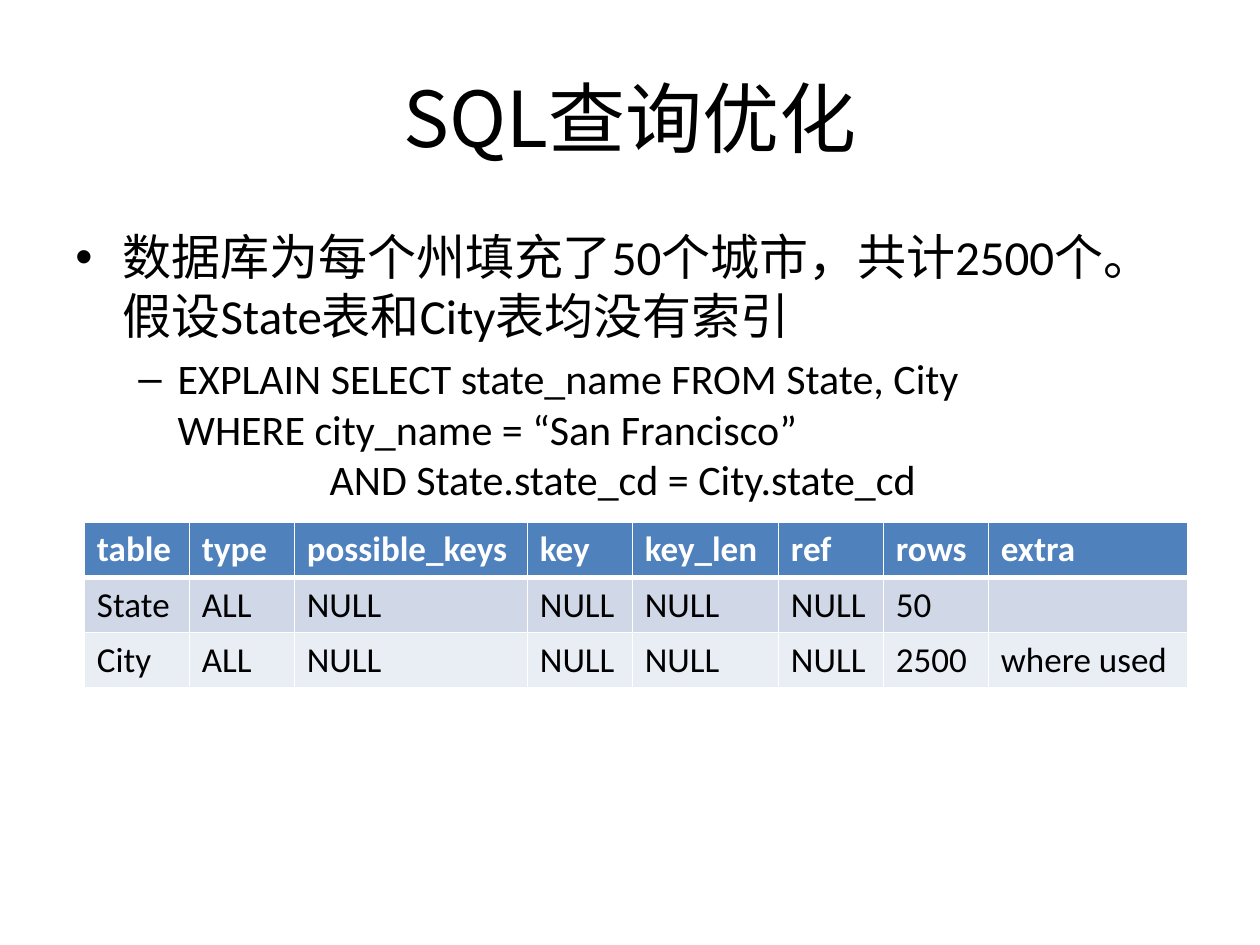
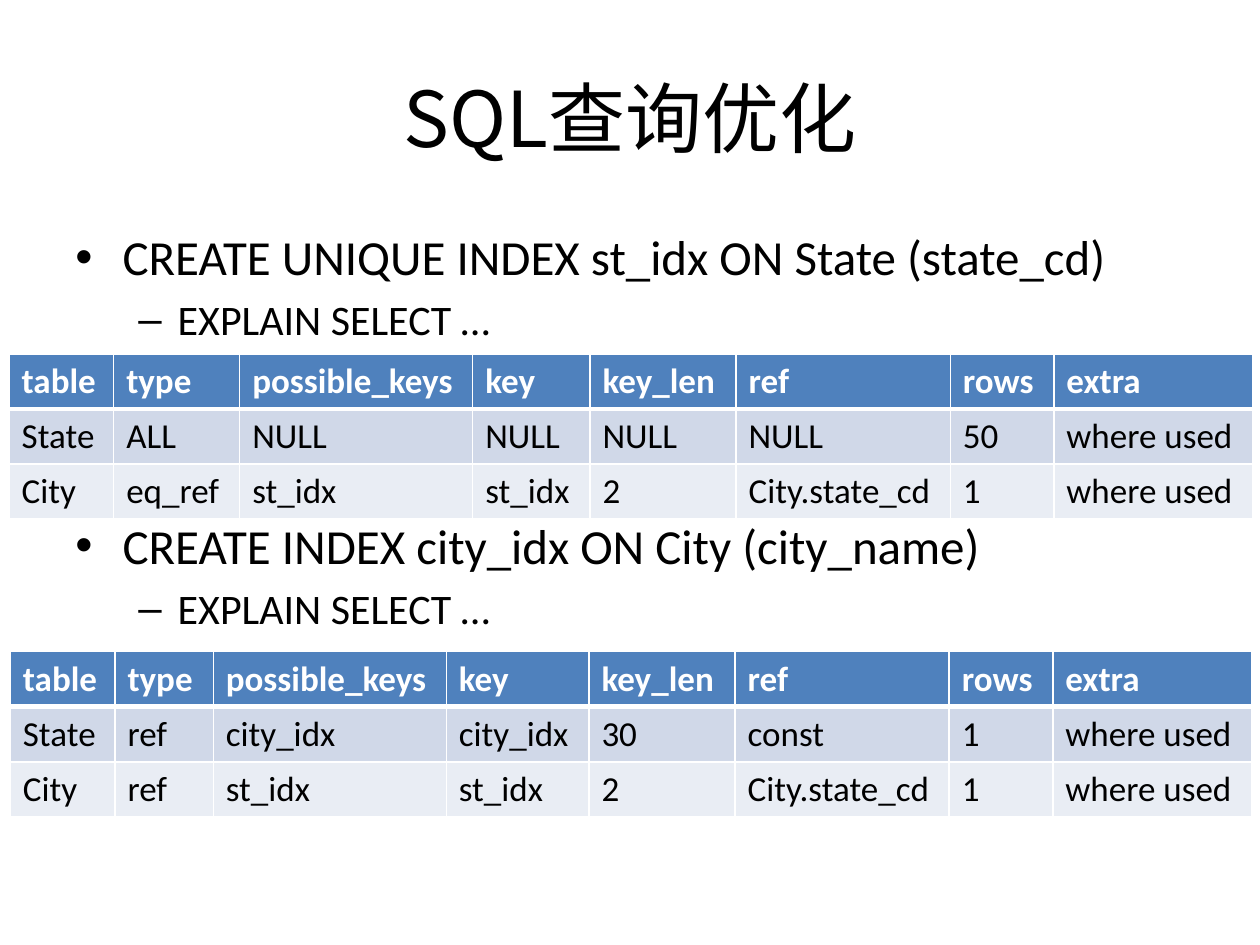
"""Build two slides on SQL query optimisation with EXPLAIN result tables."""

from dataclasses import dataclass
from typing import Any

import lxml.etree
import pptx
import pptx.dml.color
import pptx.enum.text
import pptx.oxml.ns
import pptx.presentation
import pptx.slide
import pptx.table
import pptx.text.text
import pptx.util

Pt = pptx.util.Pt
qn = pptx.oxml.ns.qn

BLACK = pptx.dml.color.RGBColor(0x00, 0x00, 0x00)
WHITE = pptx.dml.color.RGBColor(0xFF, 0xFF, 0xFF)
HEADER_BLUE = pptx.dml.color.RGBColor(0x4F, 0x81, 0xBD)
ROW_FILLS = (
    pptx.dml.color.RGBColor(0xD0, 0xD8, 0xE8),
    pptx.dml.color.RGBColor(0xE9, 0xED, 0xF4),
)

LATIN_FONT = "Calibri"
CHINESE_FONT = "Noto Sans CJK SC"
TITLE = "SQL查询优化"
TITLE_BOX = (36, 21.6, 648, 90)
BODY_BOX = (36, 126, 648, 356.4)
ROW_HEIGHT = 31.5
HEADINGS = ("table", "type", "possible_keys", "key", "key_len", "ref", "rows", "extra")

TITLE_FORMAT = {"size": Pt(44), "name": CHINESE_FONT}
HEADER_FORMAT = {"size": Pt(20), "name": LATIN_FONT, "bold": True}
CELL_FORMAT = {"size": Pt(20), "name": LATIN_FONT, "bold": False}


@dataclass(frozen=True)
class BulletStyle:
    """Look of one outline level, in points."""

    character: str
    margin: float
    hanging: float
    size: float


@dataclass(frozen=True)
class Bullet:
    """One outline paragraph and the space above it."""

    text: str
    level: int = 0
    space_before: float = 0


@dataclass(frozen=True)
class ExplainTable:
    """Position, column widths and body rows of one EXPLAIN result."""

    left: float
    top: float
    widths: tuple[float, ...]
    rows: tuple[tuple[str, ...], ...]


@dataclass(frozen=True)
class OptimisationSlide:
    """Outline and result tables of one slide."""

    bullets: tuple[Bullet, ...]
    tables: tuple[ExplainTable, ...]


BULLET_STYLES = (BulletStyle("•", 27, 27, 28), BulletStyle("–", 58.5, 22.5, 24))

SLIDES = (
    OptimisationSlide(
        bullets=(
            Bullet("数据库为每个州填充了50个城市，共计2500个。假设State表和City表均没有索引"),
            Bullet(
                "EXPLAIN SELECT state_name FROM State, City\v"
                "WHERE city_name = “San Francisco”\v"
                "                AND State.state_cd = City.state_cd",
                level=1,
                space_before=4.8,
            ),
        ),
        tables=(
            ExplainTable(
                48.2, 298.4, (60, 60, 133.2, 60, 83.5, 60, 60, 113.8),
                (
                    ("State", "ALL", "NULL", "NULL", "NULL", "NULL", "50", ""),
                    ("City", "ALL", "NULL", "NULL", "NULL", "NULL", "2500", "where used"),
                ),
            ),
        ),
    ),
    OptimisationSlide(
        bullets=(
            Bullet("CREATE UNIQUE INDEX st_idx ON State (state_cd)"),
            Bullet("EXPLAIN SELECT …", level=1, space_before=4.8),
            Bullet("CREATE INDEX city_idx ON City (city_name)", space_before=97.6),
            Bullet("EXPLAIN SELECT …", level=1, space_before=4.8),
        ),
        tables=(
            ExplainTable(
                5.2, 202.2, (59.8, 72, 133.2, 67, 83.5, 122.4, 59.2, 113.8),
                (
                    ("State", "ALL", "NULL", "NULL", "NULL", "NULL", "50", "where used"),
                    ("City", "eq_ref", "st_idx", "st_idx", "2", "City.state_cd", "1", "where used"),
                ),
            ),
            ExplainTable(
                5.9, 372.4, (59.8, 56.2, 133.2, 81.5, 83.5, 122.4, 59.2, 113.8),
                (
                    ("State", "ref", "city_idx", "city_idx", "30", "const", "1", "where used"),
                    ("City", "ref", "st_idx", "st_idx", "2", "City.state_cd", "1", "where used"),
                ),
            ),
        ),
    ),
)


def format_runs(
    paragraph: pptx.text.text._Paragraph,
    values: dict[str, Any],
    color: pptx.dml.color.RGBColor = BLACK,
) -> None:
    """Apply font values, colour and the Chinese font to every run."""
    for run in paragraph.runs:
        for name, value in values.items():
            setattr(run.font, name, value)
        run.font.color.rgb = color
        east_asian = lxml.etree.Element(qn("a:ea"), typeface=CHINESE_FONT)
        run.font._element.find(qn("a:latin")).addnext(east_asian)


def add_title(slide: pptx.slide.Slide) -> None:
    """Place and format the shared title."""
    title = slide.shapes.title
    for name, value in zip(("left", "top", "width", "height"), TITLE_BOX):
        setattr(title, name, Pt(value))
    title.text_frame.text = TITLE
    title.text_frame.vertical_anchor = pptx.enum.text.MSO_ANCHOR.MIDDLE
    paragraph = title.text_frame.paragraphs[0]
    paragraph.alignment = pptx.enum.text.PP_ALIGN.CENTER
    format_runs(paragraph, TITLE_FORMAT)


def add_outline(slide: pptx.slide.Slide, bullets: tuple[Bullet, ...]) -> None:
    """Add the bulleted body text."""
    text_frame = slide.shapes.add_textbox(*map(Pt, BODY_BOX)).text_frame
    text_frame.word_wrap = True
    for index, bullet in enumerate(bullets):
        paragraph = text_frame.add_paragraph() if index else text_frame.paragraphs[0]
        style = BULLET_STYLES[bullet.level]
        paragraph.text = bullet.text
        paragraph.level = bullet.level
        paragraph.space_before = Pt(bullet.space_before)
        properties = paragraph._p.get_or_add_pPr()
        properties.set("marL", str(Pt(style.margin)))
        properties.set("indent", str(-Pt(style.hanging)))
        lxml.etree.SubElement(properties, qn("a:buFont"), typeface="Arial")
        lxml.etree.SubElement(properties, qn("a:buChar"), char=style.character)
        format_runs(paragraph, {"size": Pt(style.size), "name": LATIN_FONT})


def set_borders(cell: pptx.table._Cell, row_index: int) -> None:
    """Draw white cell borders, thick between header and body."""
    properties = cell._tc.get_or_add_tcPr()
    widths = {
        "L": 1,
        "R": 1,
        "T": 3 if row_index == 1 else 1,
        "B": 3 if row_index == 0 else 1,
    }
    for side, width in widths.items():
        line = lxml.etree.SubElement(properties, qn(f"a:ln{side}"), w=str(Pt(width)))
        fill = lxml.etree.SubElement(line, qn("a:solidFill"))
        lxml.etree.SubElement(fill, qn("a:srgbClr"), val=str(WHITE))


def add_explain_table(slide: pptx.slide.Slide, result: ExplainTable) -> None:
    """Add one EXPLAIN result table."""
    rows = (HEADINGS, *result.rows)
    table = slide.shapes.add_table(
        len(rows), len(HEADINGS), Pt(result.left), Pt(result.top),
        Pt(sum(result.widths)), Pt(ROW_HEIGHT * len(rows)),
    ).table
    table.horz_banding = False
    for column, width in zip(table.columns, result.widths):
        column.width = Pt(width)
    for row_index, texts in enumerate(rows):
        table.rows[row_index].height = Pt(ROW_HEIGHT)
        is_header = row_index == 0
        for column_index, text in enumerate(texts):
            cell = table.cell(row_index, column_index)
            set_borders(cell, row_index)
            cell.fill.solid()
            cell.fill.fore_color.rgb = HEADER_BLUE if is_header else ROW_FILLS[row_index - 1]
            if text:
                cell.text = text
                format_runs(
                    cell.text_frame.paragraphs[0],
                    HEADER_FORMAT if is_header else CELL_FORMAT,
                    WHITE if is_header else BLACK,
                )


def add_slide(
    presentation: pptx.presentation.Presentation, content: OptimisationSlide
) -> None:
    """Add one slide with title, outline and tables."""
    slide = presentation.slides.add_slide(presentation.slide_layouts.get_by_name("Title Only"))
    add_title(slide)
    add_outline(slide, content.bullets)
    for result in content.tables:
        add_explain_table(slide, result)


def main() -> None:
    """Build and save the presentation."""
    presentation = pptx.Presentation()
    presentation.slide_width = Pt(720)
    presentation.slide_height = Pt(540)
    for content in SLIDES:
        add_slide(presentation, content)
    presentation.save("out.pptx")


if __name__ == "__main__":
    main()
